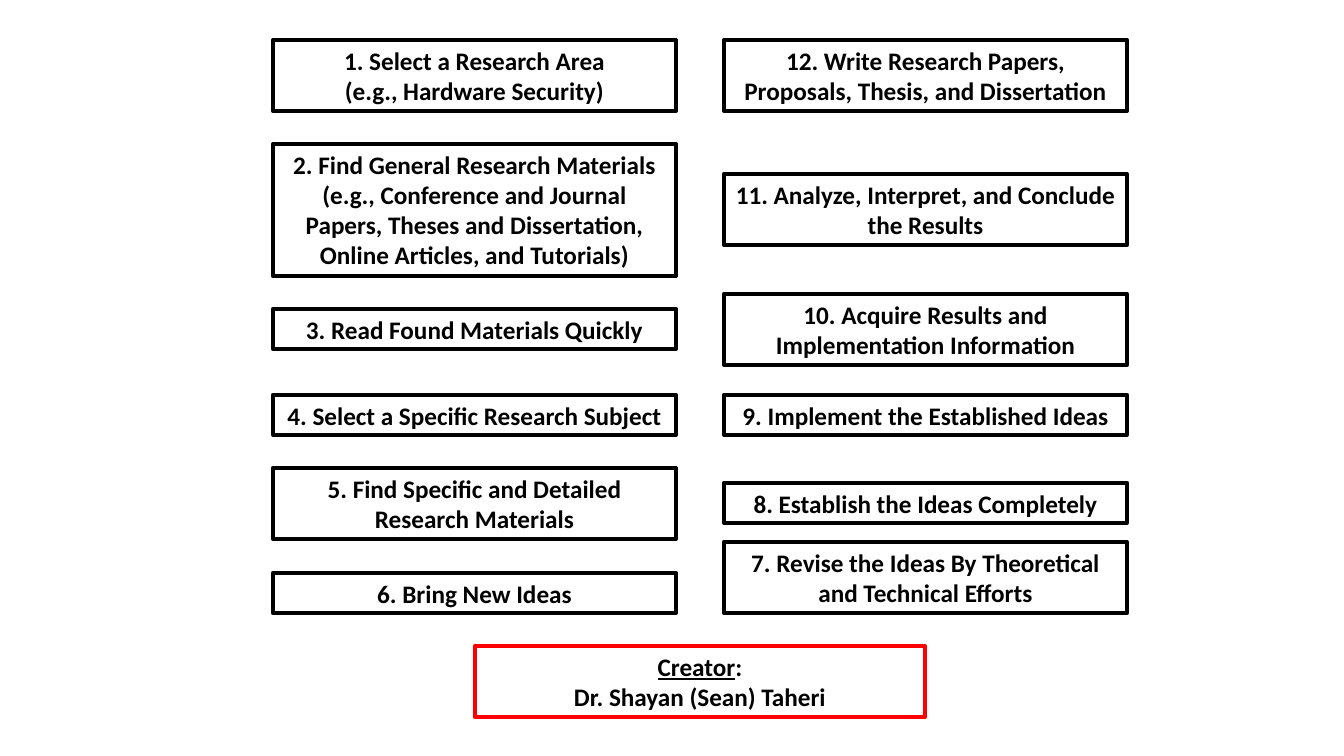
from dataclasses import dataclass

from pptx import Presentation
from pptx.dml.color import RGBColor
from pptx.enum.shapes import MSO_SHAPE
from pptx.enum.text import MSO_ANCHOR, MSO_AUTO_SIZE, PP_ALIGN
from pptx.util import Pt

RECTANGLE = MSO_SHAPE.RECTANGLE
TOP = MSO_ANCHOR.TOP
GROW = MSO_AUTO_SIZE.SHAPE_TO_FIT_TEXT
CENTER = PP_ALIGN.CENTER

EMU_PER_PIXEL = 914400 / 100.8
SLIDE_WIDTH, SLIDE_HEIGHT = 1344, 756
BLANK_LAYOUT = 6
LEFT_COLUMN, RIGHT_COLUMN, STEP_WIDTH = 273, 724, 403
HEIGHT_BY_LINES = {1: 40, 2: 71, 4: 132}
BLACK, RED = "000000", "FF0000"
FONT_FORMAT = {"name": "Calibri", "size": Pt(18), "bold": True}
FRAME_FORMAT = {"word_wrap": True, "auto_size": GROW, "vertical_anchor": TOP}


@dataclass(frozen=True)
class Box:
    left: int
    top: int
    lines: int
    paragraphs: tuple[str, ...]
    width: int = STEP_WIDTH
    outline: str = BLACK
    underlined: str = ""


STEPS = [
    Box(LEFT_COLUMN, 40, 2, ("1. Select a Research Area", "(e.g., Hardware Security)")),
    Box(LEFT_COLUMN, 144, 4, (
        "2. Find General Research Materials",
        "(e.g., Conference and Journal Papers, Theses and Dissertation, "
        "Online Articles, and Tutorials)",
    )),
    Box(LEFT_COLUMN, 309, 1, ("3. Read Found Materials Quickly",)),
    Box(LEFT_COLUMN, 395, 1, ("4. Select a Specific Research Subject",)),
    Box(LEFT_COLUMN, 468, 2, ("5. Find Specific and Detailed Research Materials",)),
    Box(LEFT_COLUMN, 573, 1, ("6. Bring New Ideas",)),
    Box(RIGHT_COLUMN, 542, 2, ("7. Revise the Ideas By Theoretical and Technical Efforts",)),
    Box(RIGHT_COLUMN, 483, 1, ("8. Establish the Ideas Completely",)),
    Box(RIGHT_COLUMN, 395, 1, ("9. Implement the Established Ideas",)),
    Box(RIGHT_COLUMN, 294, 2, ("10. Acquire Results and Implementation Information",)),
    Box(RIGHT_COLUMN, 174, 2, ("11. Analyze, Interpret, and Conclude the Results",)),
    Box(RIGHT_COLUMN, 40, 2, (
        "12. Write Research Papers, Proposals, Thesis, and Dissertation",
    )),
]
CREATOR = Box(475, 646, 2, (":", "Dr. Shayan (Sean) Taheri"), 450, RED, "Creator")


def pixels(value: int) -> int:
    return round(value * EMU_PER_PIXEL)


def color(value: str) -> RGBColor:
    return RGBColor.from_string(value)


def apply_format(target, values: dict) -> None:
    for name, value in values.items():
        setattr(target, name, value)


def add_run(paragraph, text: str, underline: bool = False) -> None:
    run = paragraph.add_run()
    run.text = text
    apply_format(run.font, FONT_FORMAT | {"underline": underline})
    run.font.color.rgb = color(BLACK)


def draw_box(slide, box: Box) -> None:
    bounds = (box.left, box.top, box.width, HEIGHT_BY_LINES[box.lines])
    shape = slide.shapes.add_shape(RECTANGLE, *map(pixels, bounds))
    shape.shadow.inherit = False
    shape.fill.background()
    shape.line.color.rgb = color(box.outline)
    shape.line.width = Pt(3)
    frame = shape.text_frame
    apply_format(frame, FRAME_FORMAT)
    for index, text in enumerate(box.paragraphs):
        paragraph = frame.add_paragraph() if index else frame.paragraphs[0]
        paragraph.alignment = CENTER
        if box.underlined and index == 0:
            add_run(paragraph, box.underlined, underline=True)
        add_run(paragraph, text)


presentation = Presentation()
presentation.slide_width = pixels(SLIDE_WIDTH)
presentation.slide_height = pixels(SLIDE_HEIGHT)
slide = presentation.slides.add_slide(presentation.slide_layouts[BLANK_LAYOUT])
for box in [*STEPS, CREATOR]:
    draw_box(slide, box)
presentation.save("out.pptx")
